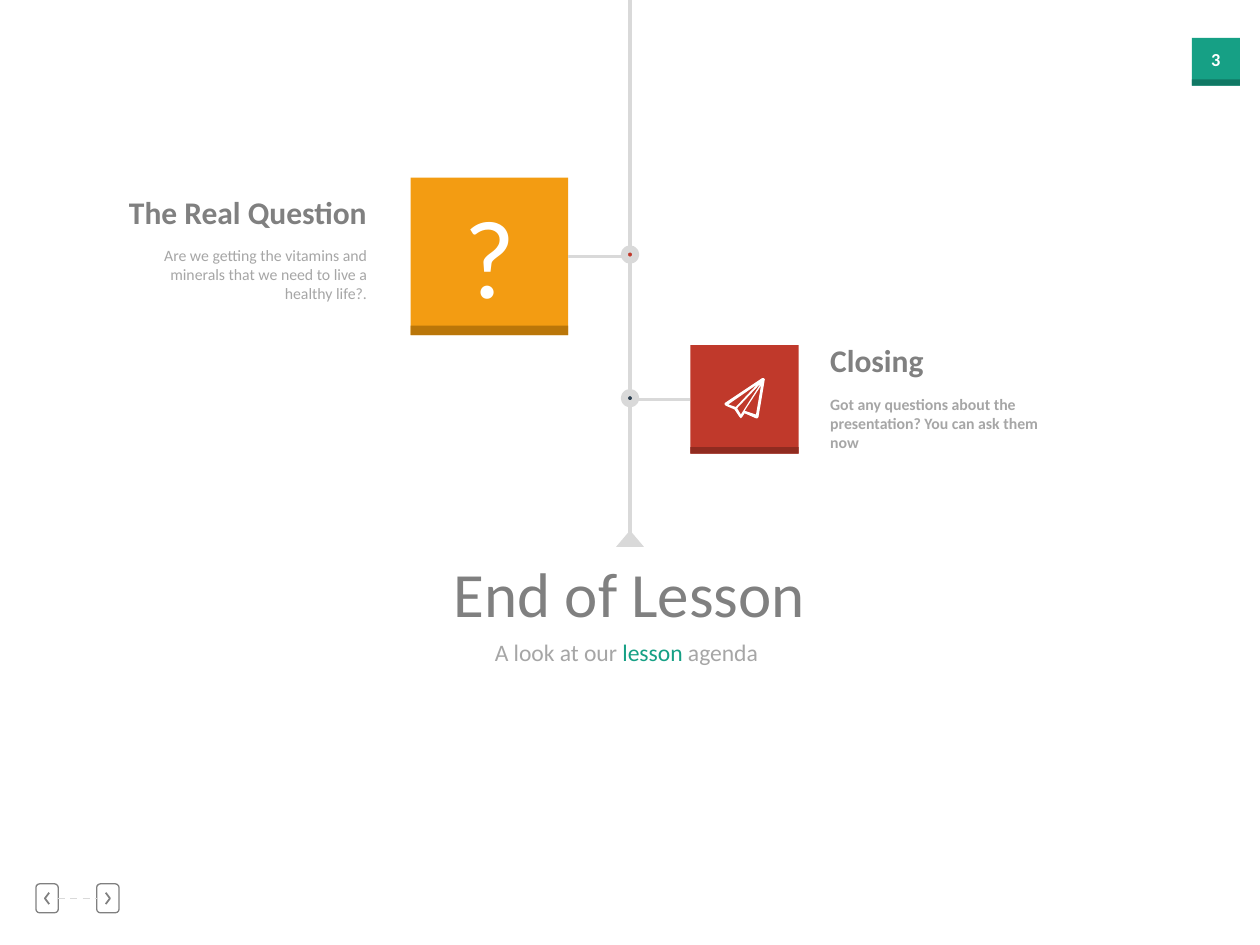
import pptx
import pptx.util
import pptx.dml.color
import pptx.enum.dml
import pptx.enum.shapes
import pptx.enum.text
import pptx.oxml.ns
import lxml.etree

Color = pptx.dml.color.RGBColor
Kind = pptx.enum.shapes.MSO_SHAPE
Align = pptx.enum.text.PP_ALIGN
Anchor = pptx.enum.text.MSO_ANCHOR

GREEN, PINE = Color(0x16, 0xA0, 0x85), Color(0x10, 0x78, 0x64)
GOLD, BROWN = Color(0xF3, 0x9C, 0x12), Color(0xBA, 0x76, 0x09)
RED, WINE = Color(0xC0, 0x39, 0x2B), Color(0x90, 0x2B, 0x20)
NAVY, WHITE = Color(0x2C, 0x3F, 0x50), Color(0xFF, 0xFF, 0xFF)
DARK, MID, PALE = Color(0x80, 0x80, 0x80), Color(0xA6, 0xA6, 0xA6), Color(0xD9, 0xD9, 0xD9)

COLS, ROWS = 100, 75
deck = pptx.Presentation()
deck.slide_width = pptx.util.Inches(10)
deck.slide_height = pptx.util.Inches(7.5)
slide = deck.slides.add_slide(deck.slide_layouts[5])
parts = slide.shapes


def col(n):
    return round(deck.slide_width * n / COLS)


def row(n):
    return round(deck.slide_height * n / ROWS)


def place(box):
    x, y, w, h = box
    return col(x), row(y), col(w), row(h)


def paint(shape, fill=None, line=None, width=1):
    shape.shadow.inherit = False
    if fill is None:
        shape.fill.background()
    else:
        shape.fill.solid()
        shape.fill.fore_color.rgb = fill
    if line is None:
        shape.line.fill.background()
    else:
        shape.line.color.rgb = line
        shape.line.width = pptx.util.Pt(width)
    return shape


def block(box, kind=Kind.RECTANGLE, **look):
    return paint(parts.add_shape(kind, *place(box)), **look)


def rule(x1, y1, x2, y2, width=2, dash=False):
    line = parts.add_connector(pptx.enum.shapes.MSO_CONNECTOR.STRAIGHT,
                               col(x1), row(y1), col(x2), row(y2))
    line.line.color.rgb = PALE
    line.line.width = pptx.util.Pt(width)
    if dash:
        line.line.dash_style = pptx.enum.dml.MSO_LINE.DASH
    lxml.etree.SubElement(line._element.spPr, pptx.oxml.ns.qn("a:effectLst"))
    return line


def outline(paths, closed=True, **look):
    spots = [[(col(x), row(y)) for x, y in path] for path in paths]
    pen = parts.build_freeform(*spots[0][0], scale=1.0)
    for i, path in enumerate(spots):
        if i:
            pen.move_to(*path[0])
        pen.add_line_segments(path[1:], close=closed)
    return paint(pen.convert_to_shape(), **look)


def write(box, *lines, size=9, color=MID, bold=False, font="Calibri",
          align=Align.LEFT, anchor=Anchor.TOP, wrap=True, shape=None):
    shape = shape or parts.add_textbox(*place(box))
    shape.left, shape.top, shape.width, shape.height = place(box)
    frame = shape.text_frame
    frame.auto_size = pptx.enum.text.MSO_AUTO_SIZE.NONE
    frame.word_wrap = wrap
    frame.vertical_anchor = anchor
    for i, line in enumerate(lines):
        para = frame.add_paragraph() if i else frame.paragraphs[0]
        para.alignment = align
        for text, tint in [(line, color)] if isinstance(line, str) else line:
            run = para.add_run()
            run.text = text
            run.font.name, run.font.size = font, pptx.util.Pt(size)
            run.font.bold, run.font.color.rgb = bold, tint
    return shape


def tile(box, fill, edge, share=0.06):
    x, y, w, h = box
    base = block(box, fill=fill)
    block((x, y + h * (1 - share), w, h * share), fill=edge)
    return base


def badge(box):
    x, y, w, h = box
    tile(box, GREEN, PINE, 0.13)
    write((x, y + 0.08 * h, w, 0.74 * h), "3", size=10.5, color=WHITE,
          bold=True, align=Align.CENTER, wrap=False)


def button(box, way):
    x, y, w, h = box
    key = block((x + 0.05, y + 0.05, w - 0.1, h - 0.1),
                Kind.ROUNDED_RECTANGLE, line=DARK, width=0.75)
    mid, half = x + w / 2, y + h / 2
    outline([[(mid - 0.17 * way, half - 0.45), (mid + 0.17 * way, half),
              (mid - 0.17 * way, half + 0.45)]],
            closed=False, line=DARK, width=1)
    return key


def pager(box):
    x, y, w, h = box
    key = 0.28 * w
    back = button((x, y, key, h), -1)
    ahead = button((x + w - key, y, key, h), 1)
    link = rule(x + key, y + h / 2, x + w - key, y + h / 2, 1, True)
    link.begin_connect(back, 3)
    link.end_connect(ahead, 1)


def spine(box, dots):
    x, y, w, h = box
    mid, size = x + w / 2, 0.9
    top = y
    for level, fill in dots:
        rule(mid, top, mid, level - size / 2)
        block((mid - size / 2, level - size / 2, size, size), Kind.OVAL,
              fill=fill, line=PALE, width=4)
        top = level + size / 2
    rule(mid, top, mid, y + h)
    block((x, y + h - 0.2, w, 1.3), Kind.ISOSCELES_TRIANGLE, fill=PALE)


def topic(box, fill, edge, side, stop):
    x, y, w, h = box
    base = tile(box, fill, edge)
    start = x + w if side == 3 else x
    rule(start, y + h / 2, stop, y + h / 2).begin_connect(base, side)


def label(box, head, *body, bold=False, align=Align.LEFT):
    x, y, w, h = box
    write((x, y, w, 0.41 * h), head, size=18, color=DARK, bold=True, align=align)
    write((x, y + 0.43 * h, w, 0.57 * h), *body, bold=bold, align=align)


def plane(box):
    x, y, w, h = box
    paths = [
        [(31, 0), (30, 0), (0, 20), (0, 21), (1, 22), (8, 25), (12, 31), (13, 32),
         (14, 31), (16, 28), (25, 32), (26, 32), (27, 31), (32, 1)],
        [(3, 21), (26, 5), (9, 23)],
        [(10, 24), (29, 4), (13, 29)],
        [(25, 29), (16, 26), (29, 6)],
    ]
    outline([[(x + w * a / 32, y + h * b / 32) for a, b in path]
             for path in paths], fill=WHITE)


def ending(box):
    x, y, w, h = box
    write((x, y, w, 0.72 * h), "End of Lesson", size=36, color=DARK,
          align=Align.CENTER, wrap=False, shape=parts.title)
    write((x + 0.11 * w, y + 0.67 * h, 0.79 * w, 0.33 * h),
          [("A look at our ", MID), ("lesson ", GREEN), ("agenda", MID)],
          size=13.5, wrap=False)


def main():
    badge((94.6, 3, 3.8, 3.8))
    pager((2.8, 70.1, 6.7, 2.4))
    spine((48.9, 0, 2.2, 42.3), [(20.2, RED), (31.6, NAVY)])
    ask, close = (32.6, 14.1, 12.5, 12.5), (54.8, 27.4, 8.6, 8.6)
    topic(ask, GOLD, BROWN, 3, 49.5)
    write(ask, "?", size=60, color=WHITE, font="Lato",
          align=Align.CENTER, anchor=Anchor.MIDDLE)
    label((8.6, 14.8, 21.5, 9.8), "The Real Question",
          "Are we getting the vitamins and minerals that we need to live a healthy life?.",
          align=Align.RIGHT)
    topic(close, RED, WINE, 1, 50.5)
    plane((57.5, 30, 3.2, 3.2))
    label((64.9, 26.6, 21.5, 9.8), "Closing",
          "Got any questions about the presentation? You can ask them", "now", bold=True)
    ending((35, 43.5, 29.9, 9.9))
    deck.save("out.pptx")


if __name__ == "__main__":
    main()
